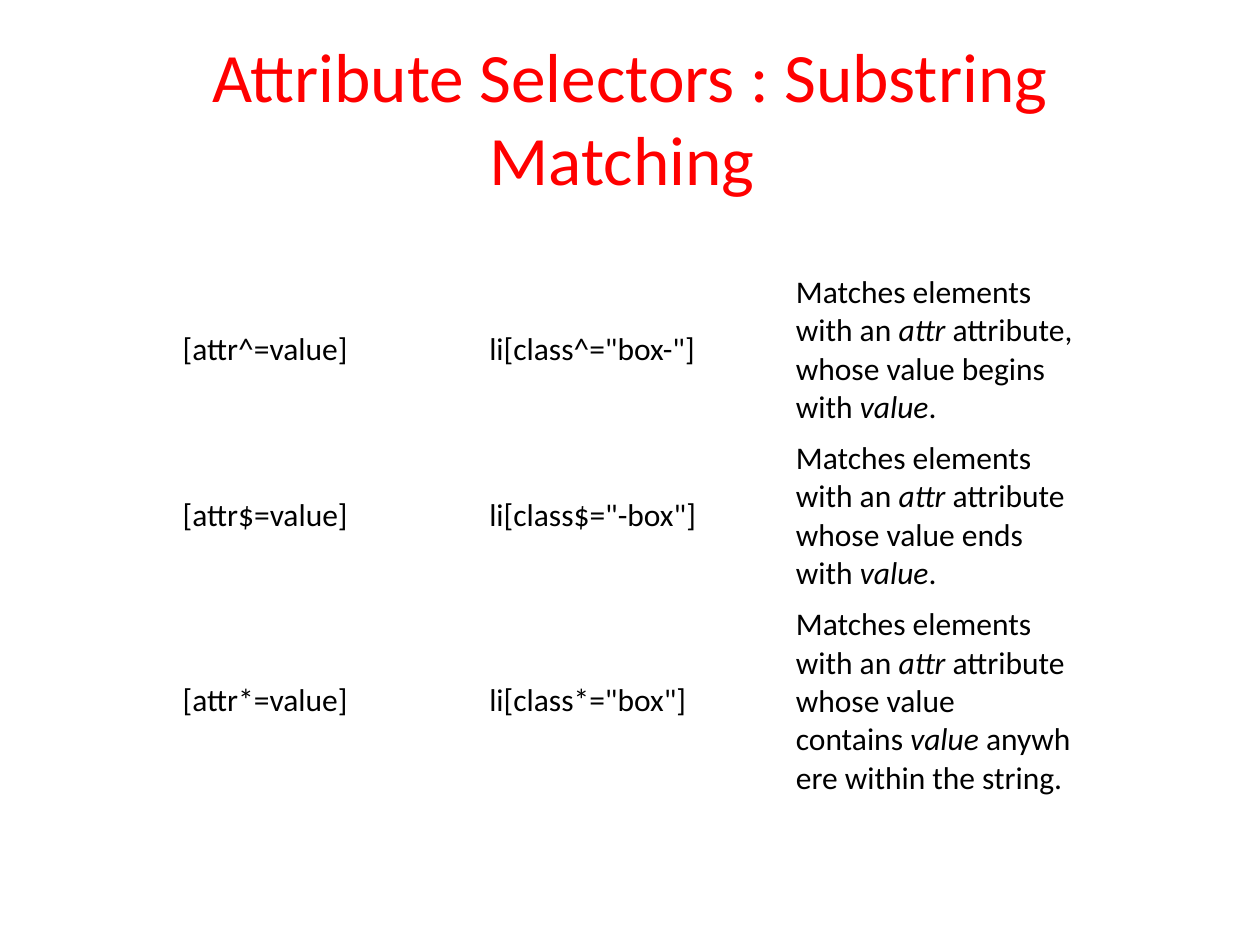
from pptx import Presentation
from pptx.dml.color import RGBColor
from pptx.enum.text import MSO_ANCHOR, PP_ALIGN
from pptx.util import Cm, Pt


def style_run(run, size, color, italic=False):
    run.font.name = "Calibri"
    run.font.size = Pt(size)
    run.font.bold = False
    run.font.italic = italic
    run.font.color.rgb = RGBColor.from_string(color)


presentation = Presentation()
presentation.slide_width = Cm(25.4)
presentation.slide_height = Cm(19.05)
slide = presentation.slides.add_slide(presentation.slide_layouts[6])

title = slide.shapes.add_textbox(Cm(1.27), Cm(0.76), Cm(22.86), Cm(3.18))
title.text_frame.word_wrap = True
title.text_frame.vertical_anchor = MSO_ANCHOR.MIDDLE
title.text_frame.text = "Attribute Selectors : Substring Matching "
title_paragraph = title.text_frame.paragraphs[0]
title_paragraph.alignment = PP_ALIGN.CENTER
style_run(title_paragraph.runs[0], 39.6, "FF0000")

selectors = [
    ("[attr^=value]", 'li[class^="box-"]',
     "Matches elements with an |attr| attribute, whose value begins with |value|."),
    ("[attr$=value]", 'li[class$="-box"]',
     "Matches elements with an |attr| attribute whose value ends with |value|."),
    ("[attr*=value]", 'li[class*="box"]',
     "Matches elements with an |attr| attribute whose value contains |value| anywhere within the string."),
]
row_heights = [3.35, 3.35, 4.11]
column_width = 6.18
no_break_space = chr(160)

table = slide.shapes.add_table(
    len(selectors), 3, Cm(3.43), Cm(5.38), Cm(3 * column_width), Cm(sum(row_heights))
).table
table.first_row = False
table.horz_banding = False
for column in table.columns:
    column.width = Cm(column_width)

for row, height, texts in zip(table.rows, row_heights, selectors):
    row.height = Cm(height)
    for cell, text in zip(row.cells, texts):
        cell.fill.solid()
        cell.fill.fore_color.rgb = RGBColor.from_string("FFFFFF")
        cell.vertical_anchor = MSO_ANCHOR.MIDDLE
        paragraph = cell.text_frame.paragraphs[0]
        joined = text.replace(" |", no_break_space + "|").replace("| ", "|" + no_break_space)
        for index, part in enumerate(joined.split("|")):
            run = paragraph.add_run()
            run.text = part
            style_run(run, 18, "000000", italic=index % 2 == 1)

presentation.save("out.pptx")
